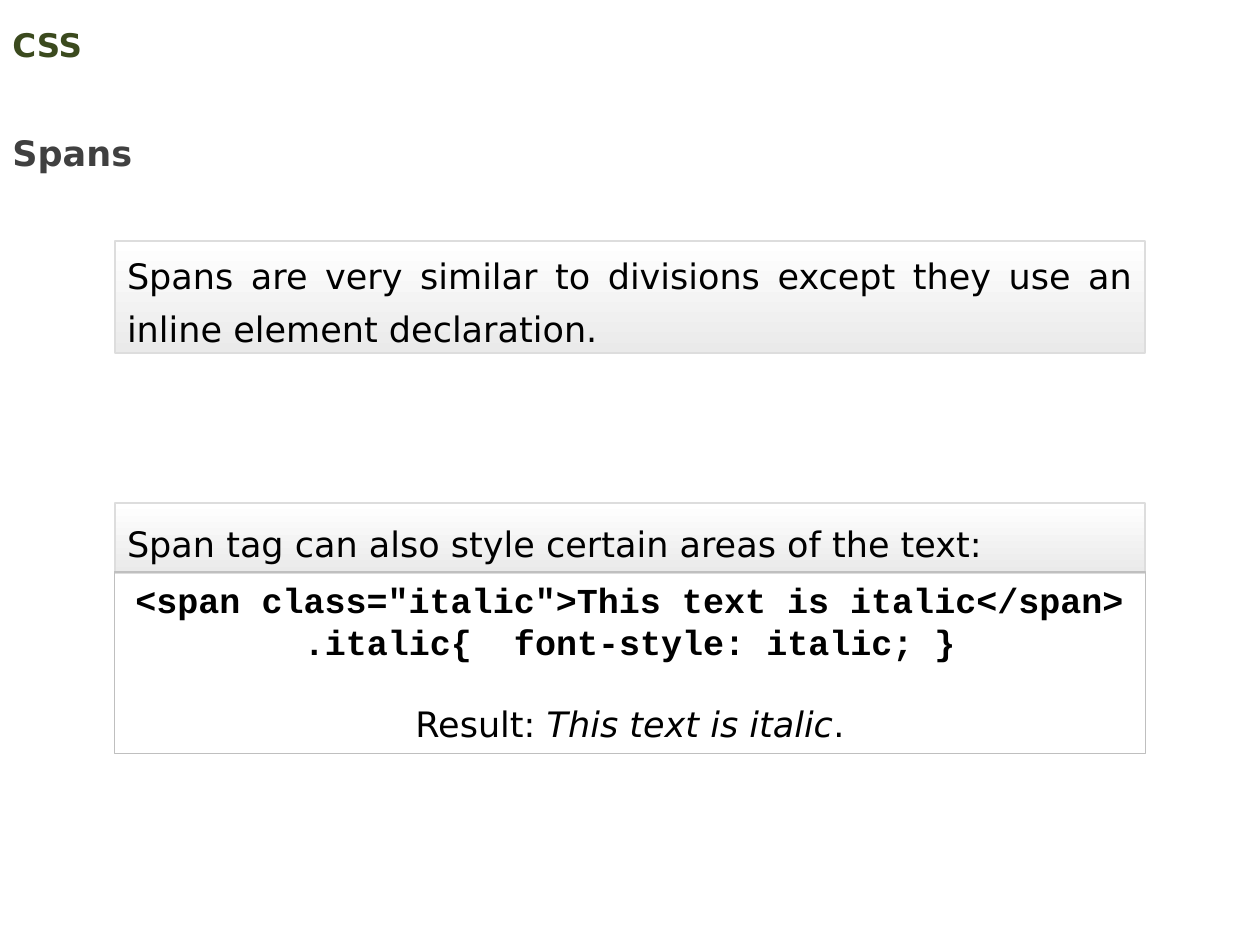
from pptx import Presentation
from pptx.dml.color import RGBColor
from pptx.enum.shapes import MSO_SHAPE
from pptx.enum.text import MSO_ANCHOR, PP_ALIGN
from pptx.util import Emu, Pt

EMU_PER_PX = 9144  # 100 px to the inch
BOX_LEFT, BOX_WIDTH = 91, 818


def px(length):
    return Emu(length * EMU_PER_PX)


def color(hex_string):
    return RGBColor.from_string(hex_string)


def write(paragraph, text, size=20, font="DejaVu Sans", ink="000000",
          bold=False, italic=False):
    """Append one formatted run to the paragraph."""
    run = paragraph.add_run()
    run.text = text
    run.font.size = Pt(size)
    run.font.name = font
    run.font.bold = bold
    run.font.italic = italic
    run.font.color.rgb = color(ink)


class SlideBuilder:
    text_inset = 10
    shade = ("FFFFFF", "EAEAEA")
    shade_edge = "DDDDDD"
    code_edge = "BFBFBF"

    def __init__(self, slide):
        self.slide = slide

    def frame(self, shape, inset=5, anchor=MSO_ANCHOR.TOP):
        """Set up the text area and return its first paragraph."""
        frame = shape.text_frame
        frame.word_wrap = True
        frame.vertical_anchor = anchor
        frame.margin_left = frame.margin_right = px(self.text_inset)
        frame.margin_top = frame.margin_bottom = px(inset)
        return frame.paragraphs[0]

    def heading(self, text, top, width, height, spacing=1,
                anchor=MSO_ANCHOR.TOP, **style):
        box = self.slide.shapes.add_textbox(
            px(0), px(top), px(width), px(height))
        paragraph = self.frame(box, anchor=anchor)
        paragraph.line_spacing = spacing
        write(paragraph, text, bold=True, **style)

    def rectangle(self, parent, top, height, edge, edge_width):
        box = parent.shapes.add_shape(
            MSO_SHAPE.RECTANGLE,
            px(BOX_LEFT), px(top), px(BOX_WIDTH), px(height))
        box.shadow.inherit = False
        box.line.color.rgb = color(edge)
        box.line.width = Pt(edge_width)
        return box

    def statement(self, parent, text, top, height):
        """Shaded box with one justified paragraph."""
        box = self.rectangle(parent, top, height, self.shade_edge, 1)
        box.fill.gradient()
        box.fill.gradient_angle = 270
        for stop, tint in zip(box.fill.gradient_stops, self.shade):
            stop.color.rgb = color(tint)
        paragraph = self.frame(box, inset=0, anchor=MSO_ANCHOR.MIDDLE)
        paragraph.alignment = PP_ALIGN.JUSTIFY
        paragraph.line_spacing = Pt(30)
        paragraph.space_after = Pt(5)
        write(paragraph, text)

    def code_example(self, parent, code_lines, result, top, height):
        """Outlined box with centred code and its result below."""
        box = self.rectangle(parent, top, height, self.code_edge, 0.75)
        box.fill.background()
        paragraph = self.frame(box)
        for line in code_lines:
            paragraph.alignment = PP_ALIGN.CENTER
            write(paragraph, line, font="Courier New", bold=True)
            paragraph = box.text_frame.add_paragraph()
        paragraph.alignment = PP_ALIGN.CENTER
        paragraph.space_before = Pt(23)
        write(paragraph, "Result: ")
        write(paragraph, result, italic=True)
        write(paragraph, ".")


def main():
    presentation = Presentation()
    presentation.slide_width = px(1000)
    presentation.slide_height = px(750)
    slide = presentation.slides.add_slide(presentation.slide_layouts[6])
    builder = SlideBuilder(slide)

    builder.heading("CSS", 14, 900, 43, anchor=MSO_ANCHOR.MIDDLE,
                    size=18.6, ink="3B4A1E")
    builder.heading("Spans", 83, 385, 60, spacing=1.5, ink="404040")
    builder.statement(
        slide,
        "Spans are very similar to divisions except they use an "
        "inline element declaration.", 191, 89)

    example = slide.shapes.add_group_shape()
    builder.statement(
        example, "Span tag can also style certain areas of the text:", 399, 56)
    builder.code_example(
        example,
        ['<span class="italic">This text is italic</span>',
         ".italic{  font-style: italic; }"],
        "This text is italic", 454, 144)

    presentation.save("out.pptx")


if __name__ == "__main__":
    main()
